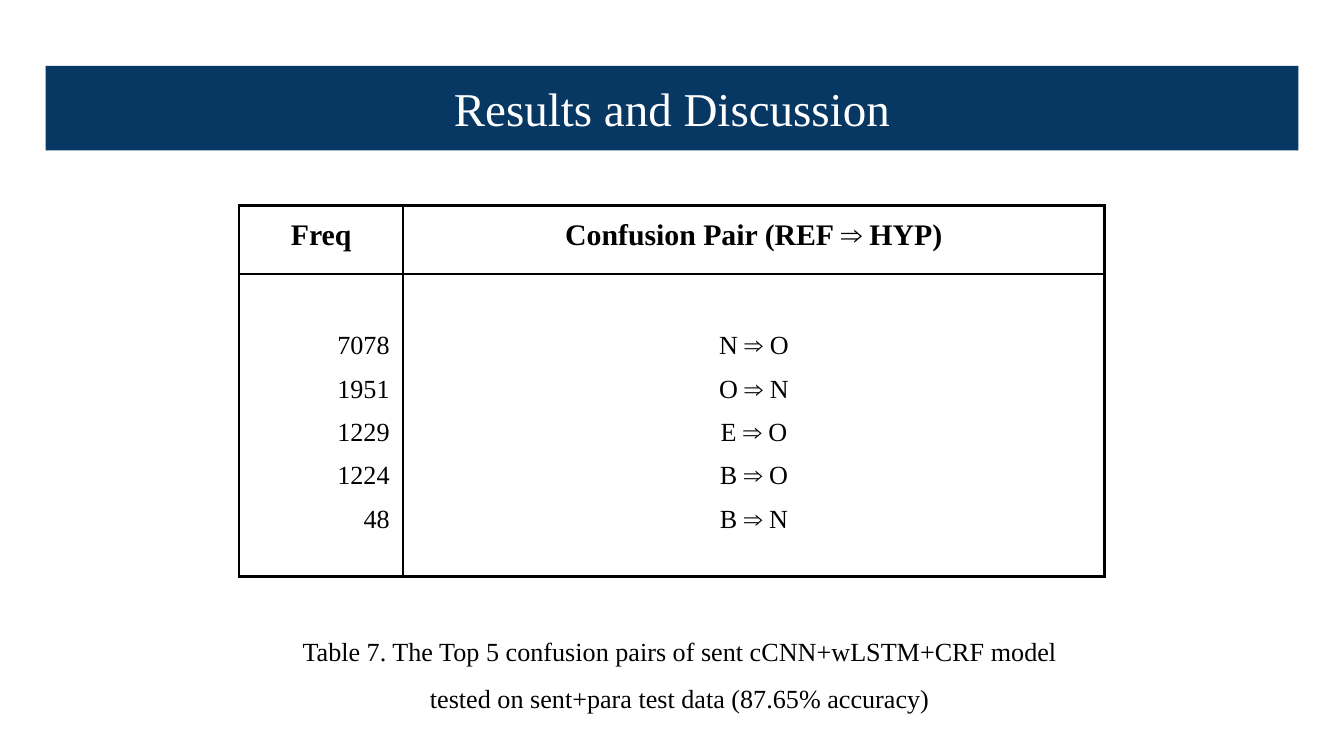
from lxml.etree import SubElement
from pptx import Presentation
from pptx.dml.color import RGBColor
from pptx.enum.shapes import MSO_SHAPE
from pptx.enum.text import MSO_ANCHOR, PP_ALIGN
from pptx.oxml.ns import qn
from pptx.util import Inches, Pt

# Content
TITLE = "Results and Discussion"
HEADINGS = ["Freq", "Confusion Pair (REF ⇒ HYP)"]
CONFUSIONS = [
    ("7078", "N ⇒ O"),
    ("1951", "O ⇒ N"),
    ("1229", "E ⇒ O"),
    ("1224", "B ⇒ O"),
    ("48", "B ⇒ N"),
]
CAPTION = [
    "Table 7. The Top 5 confusion pairs of sent cCNN+wLSTM+CRF model",
    "tested on sent+para test data (87.65% accuracy)",
]

# Layout in inches, on a 16:9 slide
WIDTH = 10
HEIGHT = WIDTH * 9 / 16
BANNER = (0.34, 0.49, WIDTH - 2 * 0.34, 0.63)
COLUMNS, ROWS = (1.22, 5.22), (0.51, 2.25)
GRID = ((WIDTH - sum(COLUMNS)) / 2, 1.53, sum(COLUMNS), sum(ROWS))
CAPTION_BOX = (1.91, 4.51, 6.3, 0.79)

# Formats
NAVY, WHITE, BLACK = "073763", "FFFFFF", "000000"
FONT = {"name": "Times New Roman", "bold": False}
TITLE_FONT = {**FONT, "size": Pt(25.2)}
HEADING_FONT = {**FONT, "size": Pt(16), "bold": True}
BODY_FONT = {**FONT, "size": Pt(14)}
CENTER = {"alignment": PP_ALIGN.CENTER}
LOOSE = {"line_spacing": 1.5}
MARGINS = {f"margin_{side}": Inches(0.1)
           for side in ("left", "right", "top", "bottom")}


def color(code):
    return RGBColor.from_string(code)


def apply(target, values):
    for key, value in values.items():
        setattr(target, key, value)


def inches(box):
    return [Inches(length) for length in box]


def write(frame, lines, font, paragraph_format, ink=BLACK):
    for index, line in enumerate(lines):
        paragraph = frame.paragraphs[0] if index == 0 else frame.add_paragraph()
        apply(paragraph, paragraph_format)
        run = paragraph.add_run()
        run.text = line
        apply(run.font, font)
        run.font.color.rgb = color(ink)


def add_borders(cell):
    properties = cell._tc.get_or_add_tcPr()
    for index, edge in enumerate(("lnL", "lnR", "lnT", "lnB")):
        line = properties.makeelement(qn(f"a:{edge}"), {"w": str(Pt(1.5))})
        properties.insert(index, line)
        fill = SubElement(line, qn("a:solidFill"))
        SubElement(fill, qn("a:srgbClr"), val=BLACK)


deck = Presentation()
deck.slide_width, deck.slide_height = inches((WIDTH, HEIGHT))
slide = deck.slides.add_slide(deck.slide_layouts[6])

# Title banner
banner = slide.shapes.add_shape(MSO_SHAPE.RECTANGLE, *inches(BANNER))
banner.shadow.inherit = False
banner.fill.solid()
banner.fill.fore_color.rgb = color(NAVY)
banner.line.fill.background()
apply(banner.text_frame, {**MARGINS, "vertical_anchor": MSO_ANCHOR.MIDDLE})
write(banner.text_frame, [TITLE], TITLE_FONT, CENTER, WHITE)

# Confusion table: one body cell holds all the lines of its column
grid = slide.shapes.add_table(len(ROWS), len(COLUMNS), *inches(GRID)).table
apply(grid, {"first_row": False, "horz_banding": False})
for row, height in zip(grid.rows, ROWS):
    row.height = Inches(height)
body_alignments = (PP_ALIGN.RIGHT, PP_ALIGN.CENTER)
for index, (heading, lines, alignment) in enumerate(
        zip(HEADINGS, zip(*CONFUSIONS), body_alignments)):
    grid.columns[index].width = Inches(COLUMNS[index])
    head, body = grid.cell(0, index), grid.cell(1, index)
    for cell in (head, body):
        apply(cell, MARGINS)
        cell.fill.background()
        add_borders(cell)
    body.vertical_anchor = MSO_ANCHOR.MIDDLE
    write(head.text_frame, [heading], HEADING_FONT, CENTER)
    write(body.text_frame, lines, BODY_FONT, {**LOOSE, "alignment": alignment})

# Caption
caption = slide.shapes.add_textbox(*inches(CAPTION_BOX)).text_frame
apply(caption, {**MARGINS, "word_wrap": True})
write(caption, CAPTION, BODY_FONT, {**LOOSE, **CENTER})

deck.save("out.pptx")
